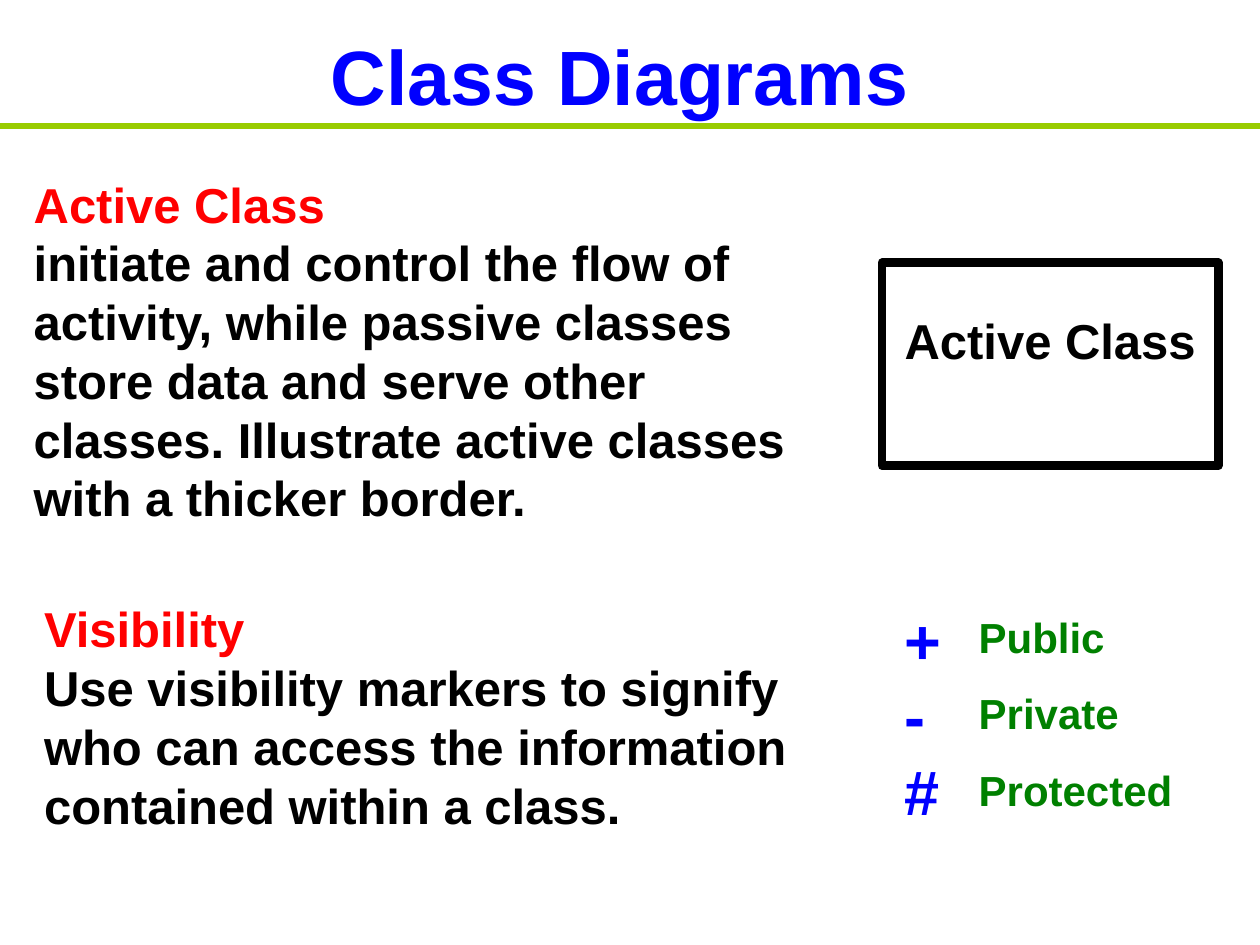
from dataclasses import dataclass

from lxml import etree
from pptx import Presentation
from pptx.dml.color import RGBColor
from pptx.enum.shapes import MSO_CONNECTOR, MSO_SHAPE
from pptx.enum.text import MSO_ANCHOR, PP_ALIGN
from pptx.oxml.ns import qn
from pptx.util import Cm, Pt

LEFT, CENTER = PP_ALIGN.LEFT, PP_ALIGN.CENTER
TOP, MIDDLE = MSO_ANCHOR.TOP, MSO_ANCHOR.MIDDLE
STRAIGHT = MSO_CONNECTOR.STRAIGHT
RECTANGLE = MSO_SHAPE.RECTANGLE

SLIDE_WIDTH, SLIDE_HEIGHT = 25.4, 19.05


@dataclass(frozen=True)
class Theme:
    font: str = "Arial"
    blue: str = "0000FF"
    red: str = "FF0000"
    green: str = "008000"
    black: str = "000000"
    rule: str = "99CC00"
    title_size: int = 44
    marker_size: int = 36
    body_size: int = 28
    label_size: int = 24
    line_spacing: float = 1.2
    label_gap: int = 15


@dataclass(frozen=True)
class Box:
    """A rectangle measured in centimetres."""
    left: float
    top: float
    width: float
    height: float

    def lengths(self):
        return Cm(self.left), Cm(self.top), Cm(self.width), Cm(self.height)


THEME = Theme()


def write_text(shape, lines, size=THEME.body_size, align=LEFT, anchor=TOP,
               gap=0, top_inset=0.13):
    """Fill a shape with bold paragraphs given as (text, colour) pairs."""
    frame = shape.text_frame
    frame.word_wrap = True
    frame.vertical_anchor = anchor
    frame.margin_left = frame.margin_right = Cm(0.25)
    frame.margin_top, frame.margin_bottom = Cm(top_inset), Cm(0.13)
    for index, (text, color) in enumerate(lines):
        paragraph = frame.add_paragraph() if index else frame.paragraphs[0]
        paragraph.alignment = align
        paragraph.line_spacing = Pt(size * THEME.line_spacing)
        paragraph.space_before = Pt(gap if index else 0)
        run = paragraph.add_run()
        run.text = text
        run.font.name = THEME.font
        run.font.size = Pt(size)
        run.font.bold = True
        run.font.color.rgb = RGBColor.from_string(color)


def add_text(slide, box, lines, **text_format):
    write_text(slide.shapes.add_textbox(*box.lengths()), lines, **text_format)


def add_header(slide, box, title):
    """Place the title above a rule that closes the full-width box."""
    title_box = Box(box.left + 1.7, box.top + 0.43, 21.59, 2.16)
    add_text(slide, title_box, [(title, THEME.blue)],
             size=THEME.title_size, align=CENTER, anchor=MIDDLE)
    bottom = Cm(box.top + box.height)
    rule = slide.shapes.add_connector(
        STRAIGHT, Cm(box.left), bottom, Cm(box.left + box.width), bottom)
    rule.line.color.rgb = RGBColor.from_string(THEME.rule)
    rule.line.width = Pt(3)
    etree.SubElement(rule._element.spPr, qn("a:effectLst"))


def add_definition(slide, box, term, meaning):
    add_text(slide, box, [(term, THEME.red), (meaning, THEME.black)])


def add_active_class(slide, box, name):
    shape = slide.shapes.add_shape(RECTANGLE, *box.lengths())
    shape.shadow.inherit = False
    shape.fill.background()
    shape.line.color.rgb = RGBColor.from_string(THEME.black)
    shape.line.width = Pt(5)
    write_text(shape, [(name, THEME.black)], align=CENTER, top_inset=0.97)


def add_visibility_key(slide, box, markers):
    """Place the access labels with their markers in a column to the left."""
    label_box = Box(box.left + 1.5, box.top + 0.2, box.width - 1.5, 4.37)
    add_text(slide, label_box,
             [(label, THEME.green) for label in markers.values()],
             size=THEME.label_size, gap=THEME.label_gap)
    marker_box = Box(box.left, box.top, 1.63, box.height)
    add_text(slide, marker_box, [(marker, THEME.blue) for marker in markers],
             size=THEME.marker_size)


def main():
    presentation = Presentation()
    presentation.slide_width = Cm(SLIDE_WIDTH)
    presentation.slide_height = Cm(SLIDE_HEIGHT)
    slide = presentation.slides.add_slide(presentation.slide_layouts[6])

    add_header(slide, Box(0, 0, SLIDE_WIDTH, 2.54), "Class Diagrams")
    add_definition(
        slide, Box(0.64, 11.94, 16.94, 5), "Visibility",
        "Use visibility markers to signify who can access the information "
        "contained within a class.")
    add_definition(
        slide, Box(0.43, 3.38, 16.71, 7.37), "Active Class",
        "initiate and control the flow of activity, while passive classes "
        "store data and serve other classes. Illustrate active classes with "
        "a thicker border.")
    add_active_class(slide, Box(17.78, 5.3, 6.78, 4.09), "Active Class")
    add_visibility_key(slide, Box(17.98, 11.99, 6.38, 4.83),
                       {"+": "Public", "-": "Private", "#": "Protected"})

    presentation.save("out.pptx")


if __name__ == "__main__":
    main()
